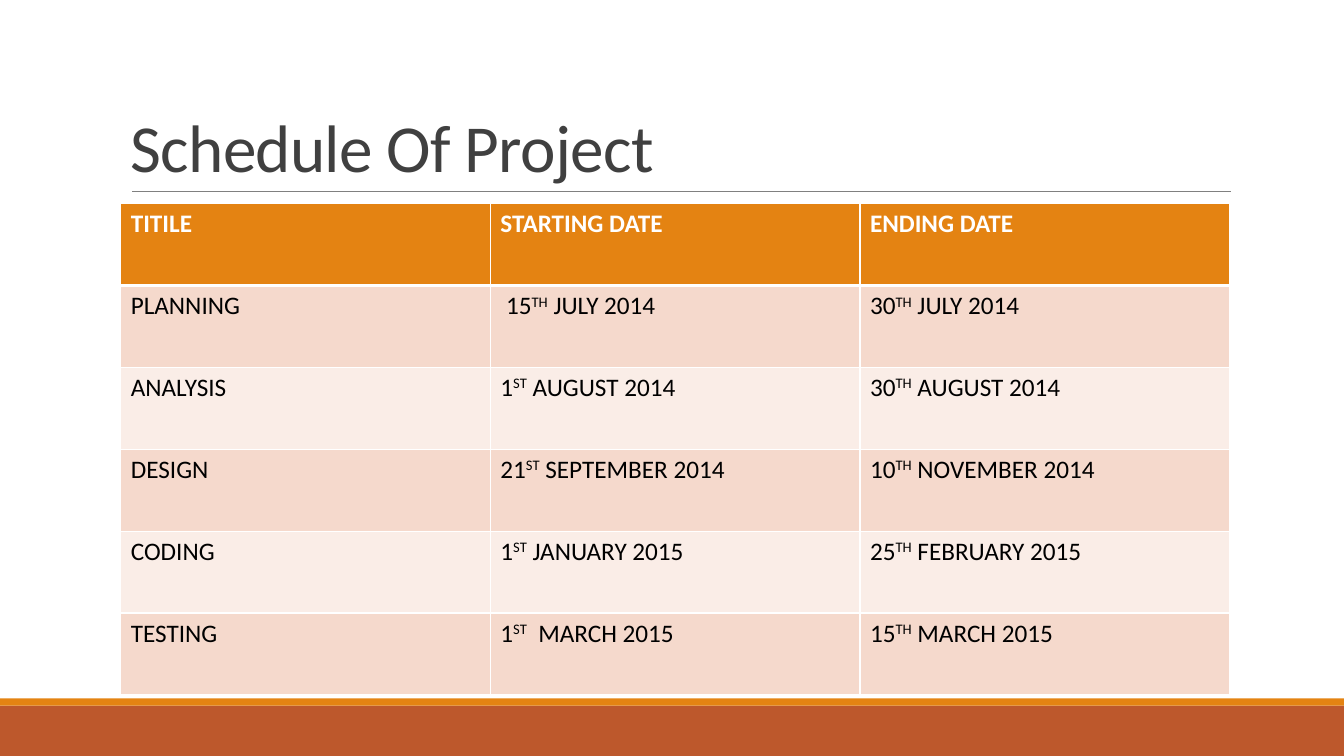
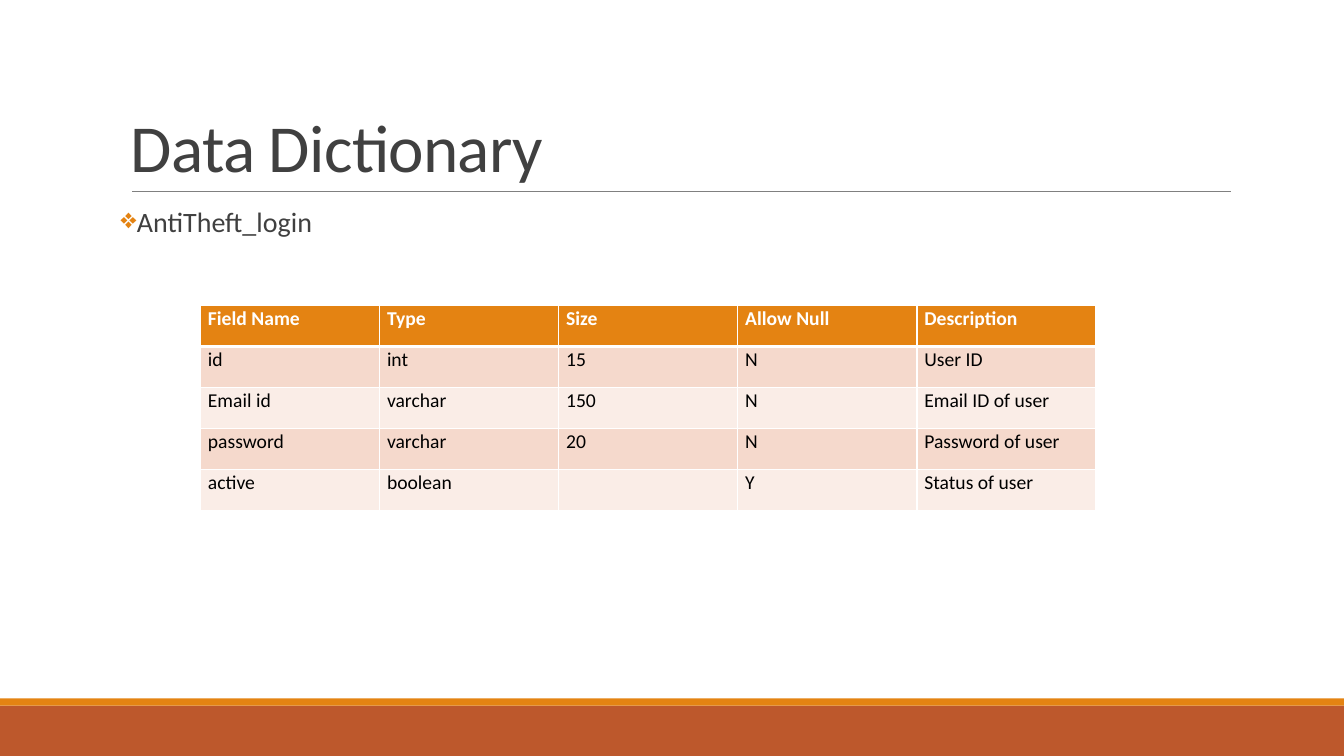
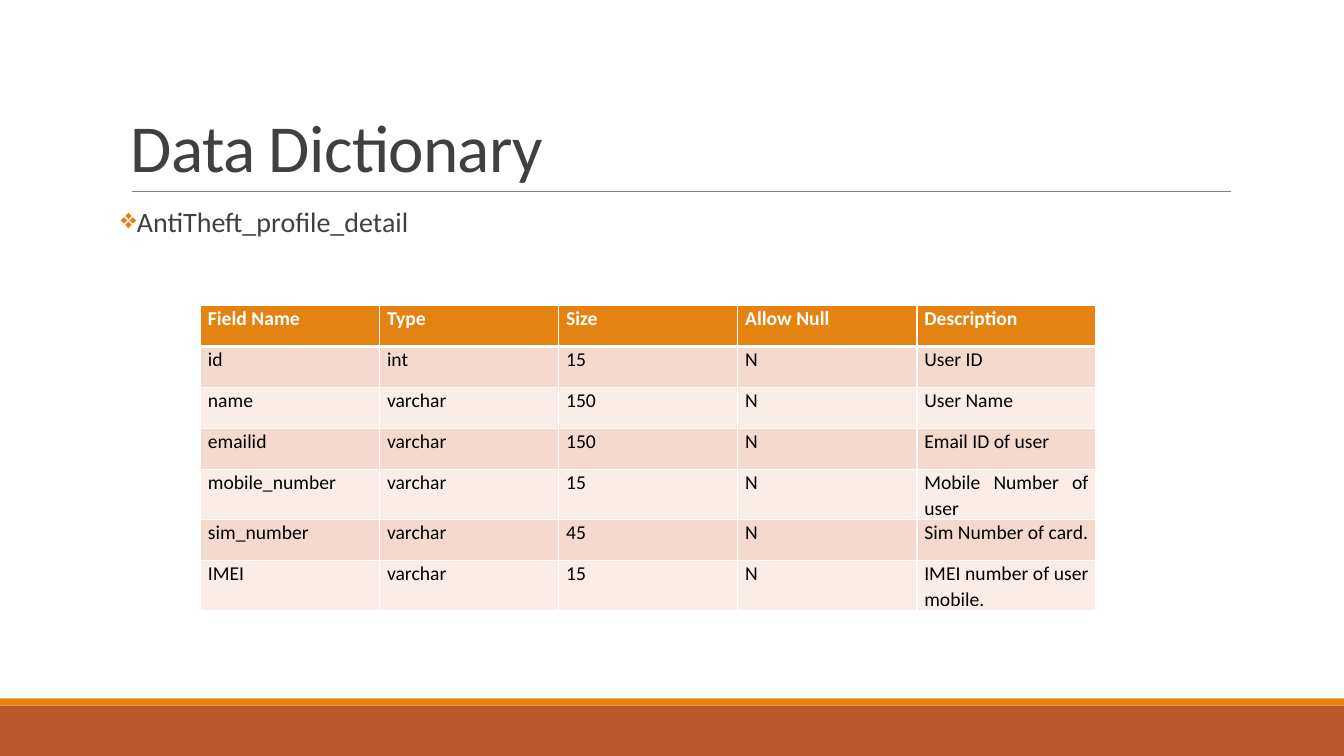
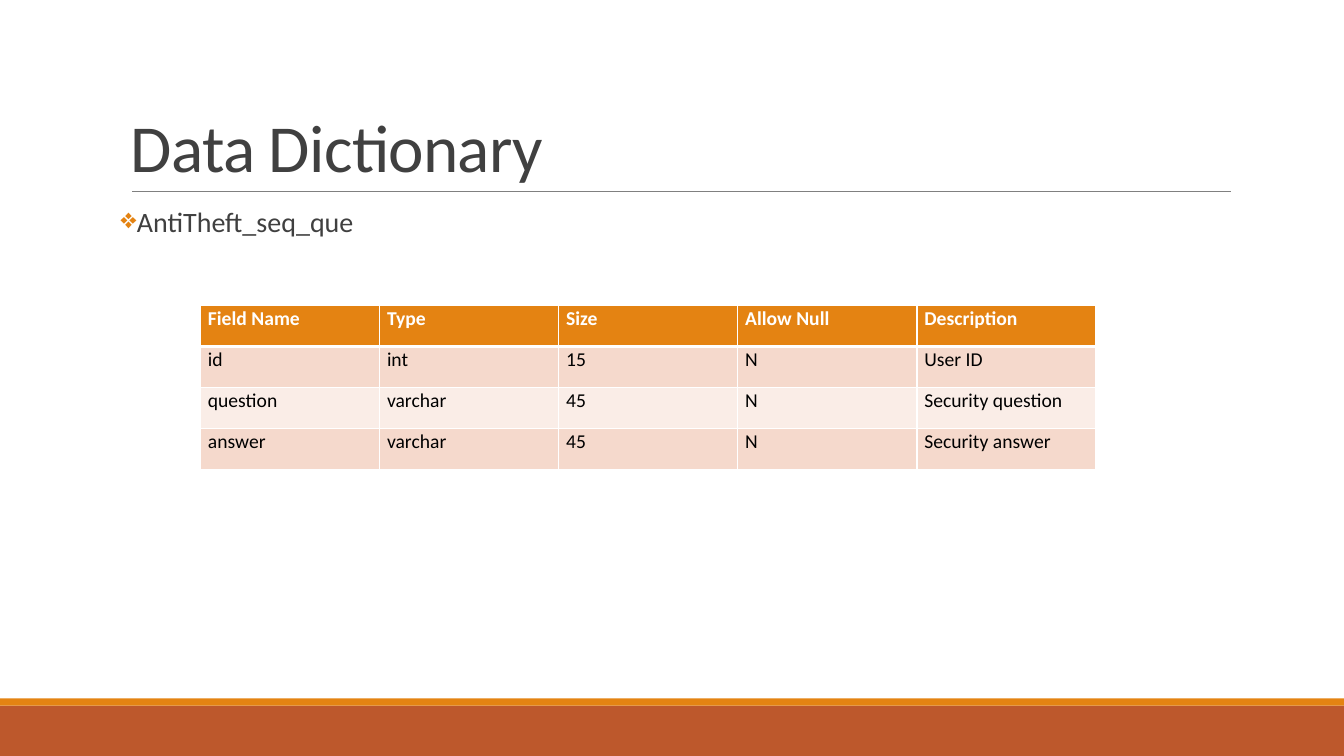
"""Build four slides of project dates and data tables."""
import pptx
import pptx.dml.color
import pptx.enum.shapes
import pptx.enum.text
import pptx.oxml.ns
import pptx.util
from lxml import etree

PX = 9525
WIDE, HIGH = 1280, 720
FONT = "Calibri"
HUES = {
    "white": "FFFFFF",
    "black": "000000",
    "ink": "404040",
    "rule": "808080",
    "rust": "BD582C",
    "orange": "E48312",
    "dark": "F5D9CC",
    "pale": "FAEDE7",
}
DATES = [
    ["TITILE", "STARTING DATE", "ENDING DATE"],
    ["PLANNING", " 15^TH^ JULY 2014", "30^TH^ JULY 2014"],
    ["ANALYSIS", "1^ST^ AUGUST 2014", "30^TH^ AUGUST 2014"],
    ["DESIGN", "21^ST^ SEPTEMBER 2014", "10^TH^ NOVEMBER 2014"],
    ["CODING", "1^ST^ JANUARY 2015", "25^TH^ FEBRUARY 2015"],
    ["TESTING", "1^ST^  MARCH 2015", "15^TH^ MARCH 2015"],
]
HEAD = ["Field Name", "Type", "Size", "Allow Null", "Description"]
USER = ["id", "int", "15", "N", "User ID"]
FIELDS = {
    "AntiTheft_login": [
        ["Email id", "varchar", "150", "N", "Email ID of user"],
        ["password", "varchar", "20", "N", "Password of user"],
        ["active", "boolean", "", "Y", "Status of user"],
    ],
    "AntiTheft_profile_detail": [
        ["name", "varchar", "150", "N", "User Name"],
        ["emailid", "varchar", "150", "N", "Email ID of user"],
        ["mobile_number", "varchar", "15", "N", "Mobile Number of user"],
        ["sim_number", "varchar", "45", "N", "Sim Number of card."],
        ["IMEI", "varchar", "15", "N", "IMEI number of user mobile."],
    ],
    "AntiTheft_seq_que": [
        ["question", "varchar", "45", "N", "Security question"],
        ["answer", "varchar", "45", "N", "Security answer"],
    ],
}


def px(*nums):
    """Turn px into EMU."""
    return [pptx.util.Emu(num * PX) for num in nums]


def tint(name):
    """Look up a colour by name."""
    return pptx.dml.color.RGBColor.from_string(HUES[name])


def node(top, tag, **keys):
    """Add a drawing element under another."""
    return etree.SubElement(top, pptx.oxml.ns.qn("a:" + tag), **keys)


def style(run, size, hue, bold=False):
    """Set the font of a run."""
    run.font.name = FONT
    run.font.size = pptx.util.Pt(size)
    run.font.bold = bold
    run.font.color.rgb = tint(hue)


def band(slide, top, high, hue):
    """Draw a full-width band."""
    bar = slide.shapes.add_shape(
        pptx.enum.shapes.MSO_SHAPE.RECTANGLE, *px(0, top, WIDE, high))
    bar.shadow.inherit = False
    bar.fill.solid()
    bar.fill.fore_color.rgb = tint(hue)
    bar.line.fill.background()


def rule(slide):
    """Draw the thin line below the title."""
    line = slide.shapes.add_connector(
        pptx.enum.shapes.MSO_CONNECTOR.STRAIGHT, *px(126, 182, 1172, 182))
    line.line.color.rgb = tint("rule")
    line.line.width = pptx.util.Pt(0.5)
    node(line._element.spPr, "effectLst")


def label(slide, box, text, size, space):
    """Add a text box with one line of text."""
    frame = slide.shapes.add_textbox(*px(*box)).text_frame
    frame.word_wrap = True
    frame.text = text
    para = frame.paragraphs[0]
    para.line_spacing = space
    style(para.runs[0], size, "ink")
    return frame


def page(deck, title):
    """Add a slide with its title, rule and bands."""
    slide = deck.slides.add_slide(deck.slide_layouts[6])
    band(slide, 672, 48, "rust")
    band(slide, 665, 7, "orange")
    rule(slide)
    frame = label(slide, (115, 30, 1056, 152), title, 48, 0.85)
    frame.vertical_anchor = pptx.enum.text.MSO_ANCHOR.BOTTOM
    frame.paragraphs[0].runs[0]._r.get_or_add_rPr().set("spc", "-50")
    return slide


def bullet(slide, text):
    """Add the bulleted name of a data table."""
    frame = label(slide, (115, 194, 1056, 422), text, 20, 0.9)
    frame.margin_left = frame.margin_right = 0
    para = frame.paragraphs[0]
    para.space_before = pptx.util.Pt(12)
    para.space_after = pptx.util.Pt(2)
    props = para._p.get_or_add_pPr()
    props.set("marL", str(10 * PX))
    props.set("indent", str(-10 * PX))
    node(node(props, "buClr"), "srgbClr", val=HUES["orange"])
    node(props, "buChar", char="❖")


def edge(cell, row):
    """Give a cell white borders, thick below the head row."""
    thick = {(0, "lnB"), (1, "lnT")}
    for side in ("lnL", "lnR", "lnT", "lnB"):
        width = pptx.util.Pt(3 if (row, side) in thick else 1)
        line = node(cell._tc.get_or_add_tcPr(), side, w=str(width))
        node(node(line, "solidFill"), "srgbClr", val=HUES["white"])


def write(cell, text, size, head):
    """Write cell text, raising the parts between carets."""
    para = cell.text_frame.paragraphs[0]
    for num, part in enumerate(text.split("^")):
        run = para.add_run()
        run.text = part
        style(run, size, "white" if head else "black", head)
        if num % 2:
            run._r.get_or_add_rPr().set("baseline", "30000")
    return para


def tight(cell, para):
    """Justify a cell and trim its margins."""
    cell.margin_left, cell.margin_right = px(7, 7)
    cell.margin_top = cell.margin_bottom = 0
    para.alignment = pptx.enum.text.PP_ALIGN.JUSTIFY
    para.line_spacing = 1.07


def grid(slide, rows, left, top, wide, high, size, close=False):
    """Add a table with equal columns and banded rows."""
    count = len(rows[0])
    table = slide.shapes.add_table(
        len(rows), count, *px(left, top, wide, high * len(rows))).table
    table.horz_banding = False
    for col in table.columns:
        col.width = px(wide)[0] // count
    for r, row in enumerate(rows):
        table.rows[r].height = px(high)[0]
        hue = "orange" if r == 0 else "dark" if r % 2 else "pale"
        for c, text in enumerate(row):
            cell = table.cell(r, c)
            edge(cell, r)
            cell.fill.solid()
            cell.fill.fore_color.rgb = tint(hue)
            para = write(cell, text, size, r == 0)
            if close:
                tight(cell, para)


def main():
    """Build and save the deck."""
    deck = pptx.Presentation()
    deck.slide_width, deck.slide_height = px(WIDE, HIGH)
    grid(page(deck, "Schedule Of Project"), DATES, 115, 194, 1056, 78, 18)
    for name, rows in FIELDS.items():
        slide = page(deck, "Data Dictionary")
        bullet(slide, name)
        grid(slide, [HEAD, USER] + rows, 191, 291, 853, 39, 14, True)
    deck.save("out.pptx")


if __name__ == "__main__":
    main()
